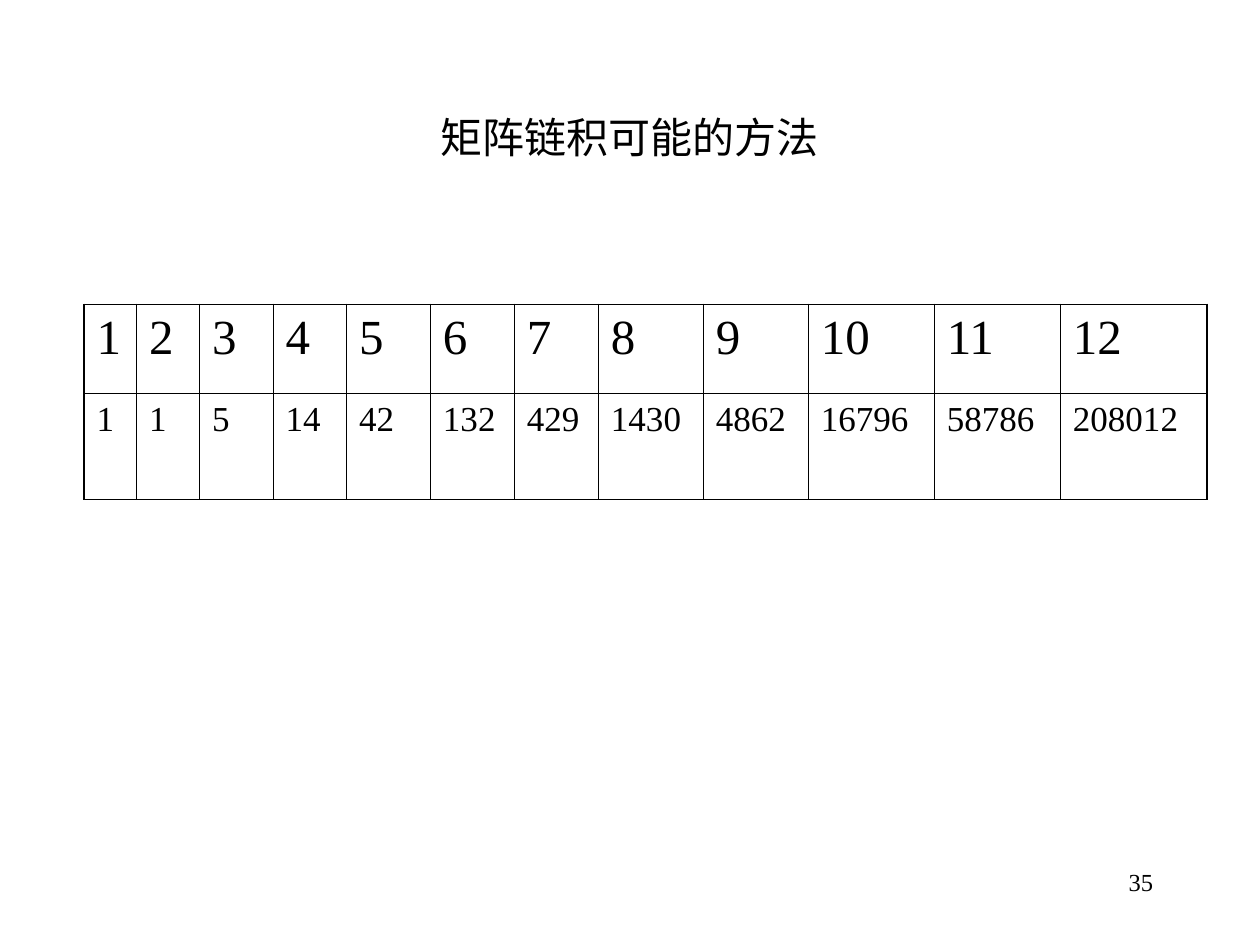
"""Build a slide that tabulates the ways to bracket a matrix chain."""
from dataclasses import dataclass
from typing import Any

from lxml.etree import SubElement as Sub
from pptx import Presentation as Deck
from pptx.dml.color import RGBColor as Color
from pptx.enum.text import MSO_ANCHOR as Anchor, PP_ALIGN as Align
from pptx.oxml.ns import qn
from pptx.util import Pt


@dataclass(frozen=True)
class Theme:
    ink: str = "000000"
    paper: str = "FFFFFF"
    font: str = "Times New Roman"
    title: int = 24
    head: int = 28
    body: int = 20
    foot: int = 14
    thin: float = 0.45
    thick: float = 1.08


@dataclass(frozen=True)
class Label:
    text: str
    box: tuple[float, float, float, float]
    size: int
    align: Align
    anchor: Anchor


@dataclass(frozen=True)
class Row:
    cells: tuple[int, ...]
    high: float
    size: int
    gap: int
    align: Align


THEME = Theme()
LABELS = (
    Label("矩阵链积可能的方法", (54, 48, 612, 60), THEME.title, Align.CENTER, Anchor.MIDDLE),
    Label("35", (516, 492, 150, 36), THEME.foot, Align.RIGHT, Anchor.TOP),
)
WIDTHS = (30, 36, 42, 42, 48, 48, 48, 60, 60, 72, 72, 84)
ROWS = (
    Row(tuple(range(1, 13)), 51, THEME.head, 7, Align.JUSTIFY),
    Row((1, 1, 5, 14, 42, 132, 429, 1430, 4862, 16796, 58786, 208012),
        60.5, THEME.body, 5, Align.LEFT),
)


def write(frame: Any, text: str, *, size: int, align: Align, gap: int = 0) -> None:
    """Put one formatted line of text into a frame."""
    para = frame.paragraphs[0]
    para.alignment = align
    para.space_before = Pt(gap)
    run = para.add_run()
    run.text = text
    run.font.size = Pt(size)
    run.font.name = THEME.font
    run.font.color.rgb = Color.from_string(THEME.ink)


def edge(cell: Any, side: str, wide: float) -> None:
    """Draw one border of a cell."""
    line = Sub(cell._tc.get_or_add_tcPr(), qn(f"a:ln{side}"), w=str(int(Pt(wide))))
    Sub(Sub(line, qn("a:solidFill")), qn("a:srgbClr"), val=THEME.ink)


def label(slide: Any, item: Label) -> None:
    """Add a text box."""
    frame = slide.shapes.add_textbox(*map(Pt, item.box)).text_frame
    frame.word_wrap = True
    frame.vertical_anchor = item.anchor
    write(frame, item.text, size=item.size, align=item.align)


def grid(slide: Any, left: float, top: float) -> None:
    """Add the table with a thick frame and thin inner lines."""
    high = sum(row.high for row in ROWS)
    table = slide.shapes.add_table(
        len(ROWS), len(WIDTHS), Pt(left), Pt(top), Pt(sum(WIDTHS)), Pt(high)).table
    table.first_row = table.horz_banding = False
    for col, wide in zip(table.columns, WIDTHS):
        col.width = Pt(wide)
    for r, row in enumerate(ROWS):
        table.rows[r].height = Pt(row.high)
        for c, value in enumerate(row.cells):
            cell = table.cell(r, c)
            outer = {"L": c == 0, "R": c == len(WIDTHS) - 1,
                     "T": r == 0, "B": r == len(ROWS) - 1}
            for side, thick in outer.items():
                edge(cell, side, THEME.thick if thick else THEME.thin)
            cell.fill.background()
            write(cell.text_frame, str(value), size=row.size, align=row.align, gap=row.gap)


def main() -> None:
    """Build and save the deck."""
    deck = Deck()
    deck.slide_width, deck.slide_height = Pt(720), Pt(540)
    slide = deck.slides.add_slide(deck.slide_layouts[6])
    fill = slide.background.fill
    fill.solid()
    fill.fore_color.rgb = Color.from_string(THEME.paper)
    for item in LABELS:
        label(slide, item)
    grid(slide, 48, 174)
    deck.save("out.pptx")


main()
